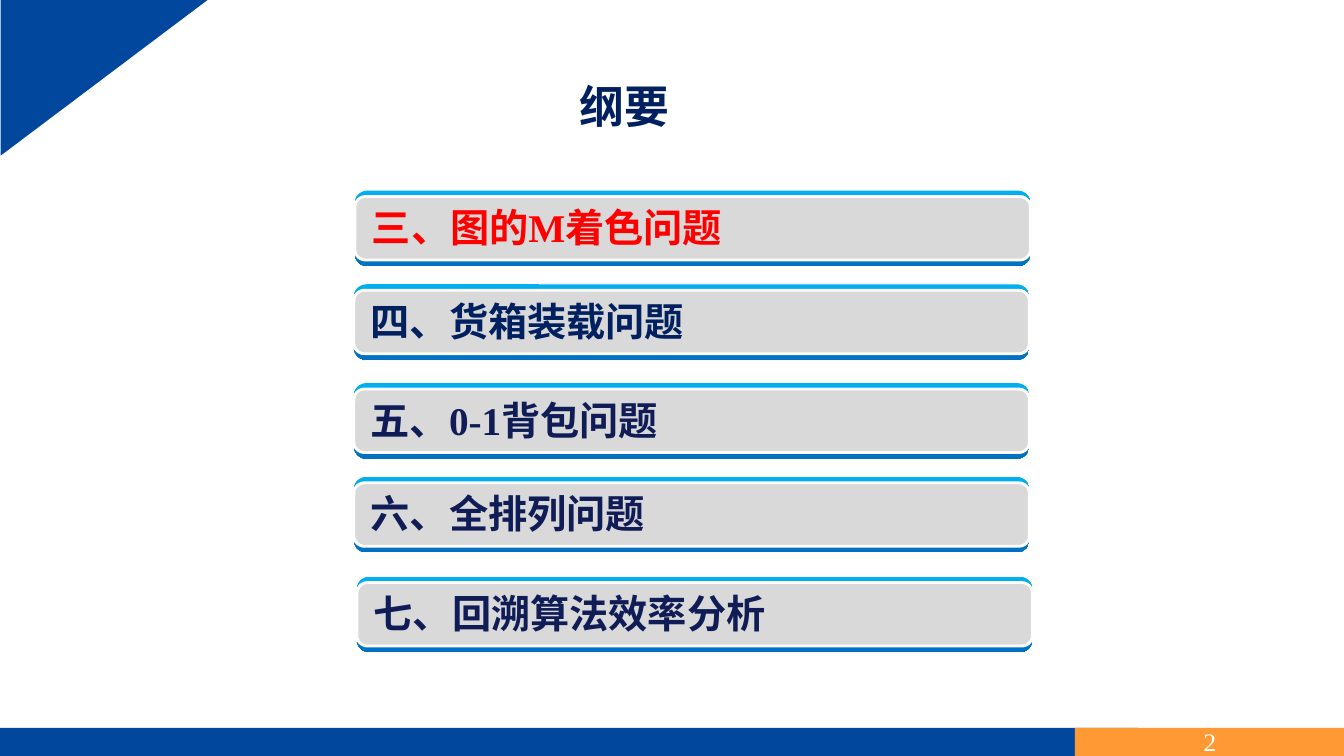
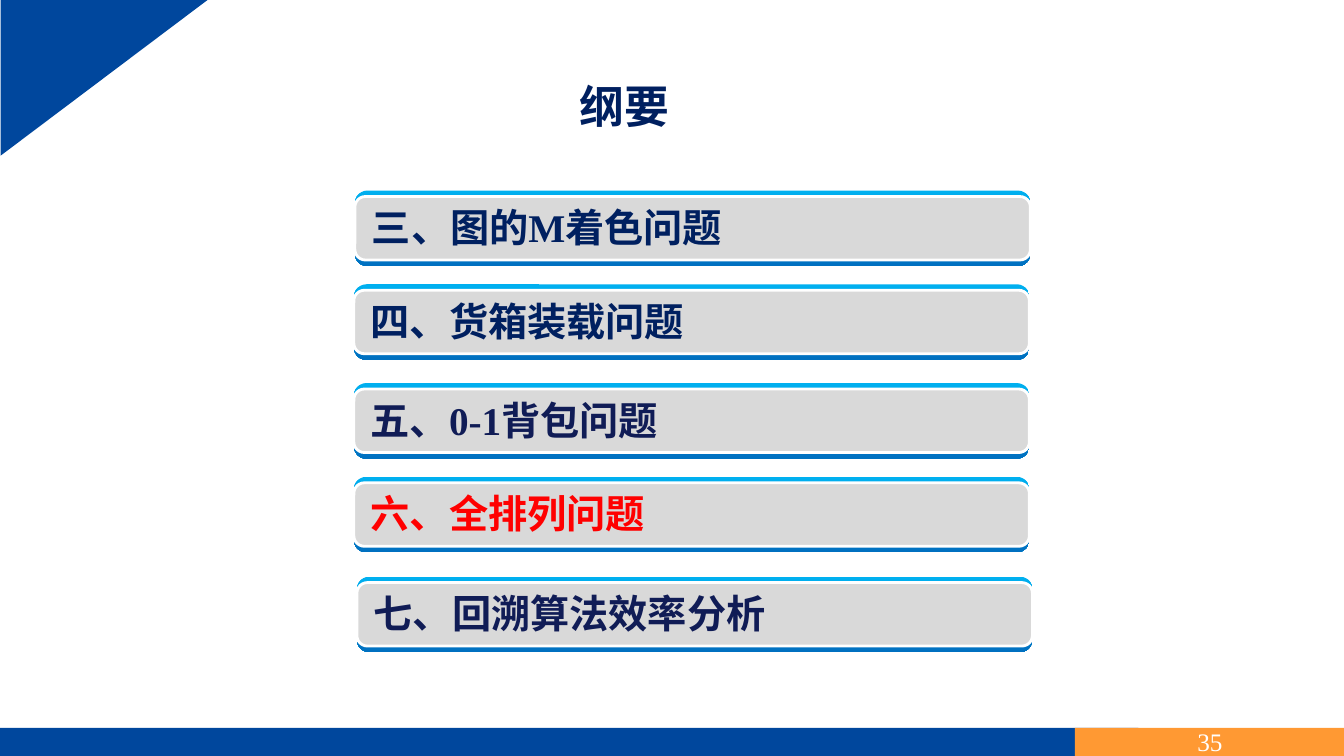
import pptx
import pptx.dml.color
import pptx.enum.shapes
import pptx.enum.text
import pptx.util

PX = 9144  # EMU in one px, 100 px to the inch
SLIDE_WIDTH, SLIDE_HEIGHT = 1333, 750
FONT = "Times New Roman"
COLORS = {
    "blue": "00479D",
    "orange": "FF9933",
    "white": "FFFFFF",
    "navy": "002060",
    "indigo": "101C56",
    "red": "FF0000",
    "gray": "D9D9D9",
    "edge_top": "00B0F0",
    "edge_bottom": "0070C0",
}
SHAPE = pptx.enum.shapes.MSO_SHAPE
ALIGN = pptx.enum.text.PP_ALIGN
ANCHOR = pptx.enum.text.MSO_ANCHOR

TITLE_BOX = (400, 73, 438, 64)
ITEM_SIZE = (670, 75)
# text, usual colour, left, top
ITEMS = [
    ("三、图的M着色问题", "navy", 352, 189),
    ("四、货箱装载问题", "navy", 351, 282),
    ("五、0-1背包问题", "indigo", 351, 380),
    ("六、全排列问题", "indigo", 351, 473),
    ("七、回溯算法效率分析", "indigo", 354, 572),
]
# page number, index of the current item
OUTLINES = [("2", 0), ("35", 3)]


def emu(*lengths):
    return [pptx.util.Emu(length * PX) for length in lengths]


def rgb(name):
    return pptx.dml.color.RGBColor.from_string(COLORS[name])


def add_shape(shapes, kind, box, fill=None):
    """Add a flat shape without outline or shadow."""
    shape = shapes.add_shape(kind, *emu(*box))
    shape.shadow.inherit = False
    shape.line.fill.background()
    if fill:
        shape.fill.solid()
        shape.fill.fore_color.rgb = rgb(fill)
    return shape


def write(shape, text, size, color, align, anchor=ANCHOR.TOP, bold=False):
    frame = shape.text_frame
    frame.word_wrap = True
    frame.vertical_anchor = anchor
    frame.text = text
    paragraph = frame.paragraphs[0]
    paragraph.alignment = align
    font = paragraph.font
    font.name = FONT
    font.size = pptx.util.Pt(size)
    font.bold = bold
    font.color.rgb = rgb(color)


def add_frame(slide, page_number):
    """Draw the corner triangle and the footer with its page number."""
    footer_top, footer_height = 722, 28
    add_shape(slide.shapes, SHAPE.RECTANGLE,
              (0, footer_top, 1129, footer_height), "blue")
    page_band = add_shape(slide.shapes, SHAPE.RECTANGLE,
                          (1066, footer_top, 268, footer_height), "orange")
    page_band.text_frame.margin_top = page_band.text_frame.margin_bottom = 0
    write(page_band, page_number, 18, "white", ALIGN.CENTER, ANCHOR.MIDDLE)
    corner = add_shape(slide.shapes, SHAPE.RIGHT_TRIANGLE,
                       (26, -26, 155, 206), "blue")
    corner.rotation = 90


def add_title(slide, text, box):
    title = slide.shapes.title
    title.left, title.top, title.width, title.height = emu(*box)
    write(title, text, 32, "navy", ALIGN.CENTER, bold=True)
    title.text_frame.auto_size = pptx.enum.text.MSO_AUTO_SIZE.SHAPE_TO_FIT_TEXT


def add_item(slide, text, color, box):
    """Draw one outline bar: gradient edge, gray plate and label."""
    left, top, width, height = box
    shapes = slide.shapes.add_group_shape().shapes

    edge = add_shape(shapes, SHAPE.ROUNDED_RECTANGLE, box)
    edge.fill.gradient()
    edge.fill.gradient_angle = 270
    for stop, name in zip(edge.fill.gradient_stops, ("edge_top", "edge_bottom")):
        stop.color.rgb = rgb(name)

    plate = add_shape(shapes, SHAPE.ROUNDED_RECTANGLE,
                      (left, top + 6, width, height - 12), "gray")
    plate.line.color.rgb = rgb("white")
    plate.line.width = pptx.util.Pt(2)

    label = shapes.add_textbox(*emu(left + 7, top + 8, width - 7, height - 18))
    write(label, text, 28, color, ALIGN.LEFT, bold=True)


def add_outline_slide(presentation, page_number, current):
    slide = presentation.slides.add_slide(presentation.slide_layouts[5])
    add_frame(slide, page_number)
    add_title(slide, "纲要", TITLE_BOX)
    for index, (text, color, left, top) in enumerate(ITEMS):
        add_item(slide, text, "red" if index == current else color,
                 (left, top, *ITEM_SIZE))


def main():
    presentation = pptx.Presentation()
    presentation.slide_width, presentation.slide_height = emu(
        SLIDE_WIDTH, SLIDE_HEIGHT)
    for page_number, current in OUTLINES:
        add_outline_slide(presentation, page_number, current)
    presentation.save("out.pptx")


if __name__ == "__main__":
    main()
